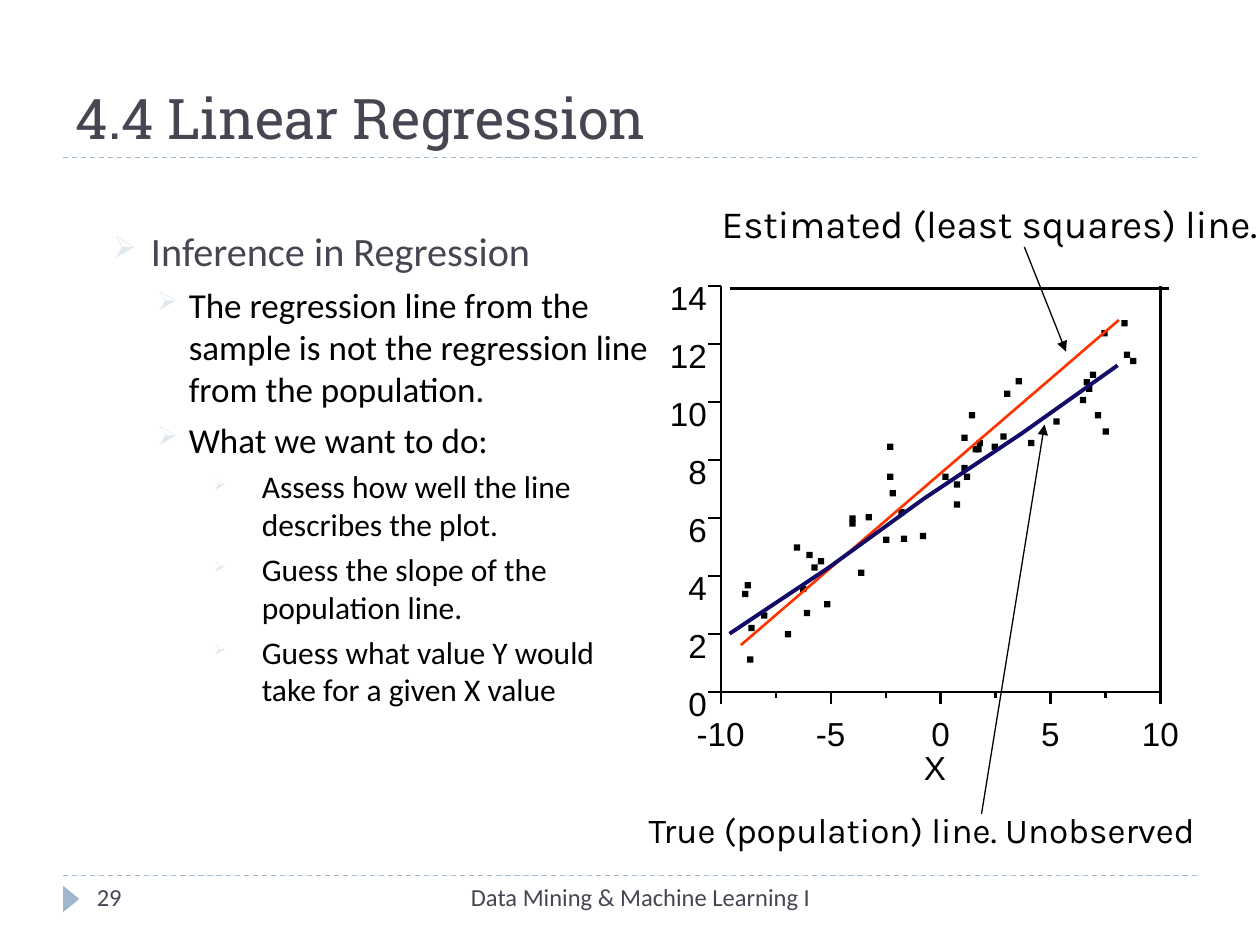
import dataclasses
import typing

import lxml.etree
import pptx
import pptx.dml.color
import pptx.enum.dml
import pptx.enum.shapes
import pptx.enum.text
import pptx.oxml
import pptx.oxml.ns
import pptx.util

SHAPE = pptx.enum.shapes.MSO_SHAPE
ALIGN = pptx.enum.text.PP_ALIGN
ANCHOR = pptx.enum.text.MSO_ANCHOR
FIT = pptx.enum.text.MSO_AUTO_SIZE

# The slide is a grid of 1000 columns by 750 rows of square cells
CELL = pptx.util.Inches(10) // 1000
BLACK, SLATE, BLUE, PALE = "000000", "464653", "9FB8CD", "DDE9EC"

# Plot frame: edges and tick steps in cells
LEFT, RIGHT, TOP, BOTTOM = 572, 921, 227, 549
Y_STEP = (BOTTOM - TOP) / 7
X_STEP = (RIGHT - LEFT) / 8
X_LABEL_WIDTH = 60
DOT = 5
DOTS = [  # left column, top row
    (865, 295), (649, 443), (730, 423), (704, 352), (874, 262), (630, 432), (674, 409),
    (644, 448), (748, 376), (715, 425), (757, 382), (757, 398), (704, 376), (765, 376),
    (623, 501), (763, 369), (794, 344), (836, 332), (775, 349), (701, 426), (862, 306),
    (787, 352), (674, 413), (816, 349), (774, 354), (857, 315), (890, 254), (892, 279),
    (604, 486), (860, 301), (897, 284), (806, 300), (638, 484), (687, 408), (640, 438),
    (681, 452), (875, 340), (769, 327), (594, 496), (654, 477), (589, 469), (706, 389),
    (797, 310), (763, 345), (772, 354), (635, 465), (869, 327), (593, 521), (591, 462),
    (713, 404),
]
POPULATION_LINE = [(579, 503), (657, 451), (733, 396), (811, 344), (887, 290)]


@dataclasses.dataclass
class Level:
    margin: float
    indent: float
    before: int
    bullet_share: int
    size: int
    color: str


@dataclasses.dataclass
class Stroke:
    color: str = BLACK
    width: float = 1.25
    dashed: bool = False
    arrow: bool = False


LEVELS = {
    1: Level(60, -30, 5, 76, 23, SLATE),
    2: Level(90, -25, 5, 76, 20, BLACK),
    3: Level(148, -38, 4, 50, 18, BLACK),
}
OUTLINE = [
    (1, "Inference in Regression"),
    (2, "The regression line from the sample is not the regression line from the population."),
    (2, "What we want to do:"),
    (3, "Assess how well the line describes the plot."),
    (3, "Guess the slope of the population line."),
    (3, "Guess what value Y would take for a given X value"),
]


def cells(count: float) -> int:
    return round(count * CELL)


def rgb(color: str) -> pptx.dml.color.RGBColor:
    return pptx.dml.color.RGBColor.from_string(color)


def write(paragraph: typing.Any, text: str, size: float, font: str, color: str) -> None:
    run = paragraph.add_run()
    run.text = text
    for name, value in {"size": pptx.util.Pt(size), "name": font}.items():
        setattr(run.font, name, value)
    run.font.color.rgb = rgb(color)


def set_frame(frame: typing.Any, inset: typing.Optional[int] = None, **options: typing.Any) -> None:
    if inset is not None:
        for side in ("left", "right", "top", "bottom"):
            options["margin_" + side] = inset
    for name, value in options.items():
        setattr(frame, name, value)


def add_text(shapes: typing.Any, box: tuple, text: str, size: float, font: str,
             color: str = BLACK, align: typing.Any = ALIGN.LEFT, **options: typing.Any) -> None:
    frame = shapes.add_textbox(*map(cells, box)).text_frame
    set_frame(frame, **{"word_wrap": True, **options})
    frame.paragraphs[0].alignment = align
    write(frame.paragraphs[0], text, size, font, color)


def add_plot_label(shapes: typing.Any, box: tuple, text: str, align: typing.Any) -> None:
    add_text(shapes, box, text, 19, "Arial", align=align, inset=0,
             word_wrap=False, auto_size=FIT.SHAPE_TO_FIT_TEXT)


def add_line(shapes: typing.Any, start: tuple, end: tuple, stroke: Stroke = Stroke()) -> None:
    connector = shapes.add_connector(pptx.enum.shapes.MSO_CONNECTOR.STRAIGHT,
                                     *map(cells, (*start, *end)))
    line = connector.line
    line.color.rgb = rgb(stroke.color)
    line.width = pptx.util.Pt(stroke.width)
    if stroke.dashed:
        line.dash_style = pptx.enum.dml.MSO_LINE.DASH
    if stroke.arrow:
        tail = lxml.etree.SubElement(line._get_or_add_ln(), pptx.oxml.ns.qn("a:tailEnd"))
        tail.set("type", "triangle")
    lxml.etree.SubElement(connector._element.spPr, pptx.oxml.ns.qn("a:effectLst"))


def add_block(shapes: typing.Any, kind: typing.Any, box: tuple, color: str) -> typing.Any:
    block = shapes.add_shape(kind, *map(cells, box))
    block.shadow.inherit = False
    block.fill.solid()
    block.fill.fore_color.rgb = rgb(color)
    block.line.fill.background()
    return block


def add_bullet(paragraph: typing.Any, level: Level) -> None:
    properties = paragraph._p.get_or_add_pPr()
    properties.set("marL", str(cells(level.margin)))
    properties.set("indent", str(cells(level.indent)))
    space = pptx.oxml.ns.nsdecls("a")
    for xml in (f'<a:buClr {space}><a:srgbClr val="{PALE}"/></a:buClr>',
                f'<a:buSzPct {space} val="{level.bullet_share * 1000}"/>',
                f'<a:buChar {space} char="➢"/>'):
        properties.append(pptx.oxml.parse_xml(xml))


def add_outline(shapes: typing.Any) -> None:
    frame = shapes.add_textbox(*map(cells, (50, 175, 477, 533))).text_frame
    frame.word_wrap = True
    for index, (depth, text) in enumerate(OUTLINE):
        level = LEVELS[depth]
        paragraph = frame.add_paragraph() if index else frame.paragraphs[0]
        add_bullet(paragraph, level)
        if index:
            paragraph.space_before = pptx.util.Pt(level.before)
        write(paragraph, text, level.size, "Calibri", level.color)


def add_plot(shapes: typing.Any) -> None:
    add_block(shapes, SHAPE.RECTANGLE, (573, 229, 347, 320), "FFFFFF")
    # Vertical axis
    for step in range(8):
        row, label = BOTTOM - step * Y_STEP, str(2 * step)
        add_line(shapes, (LEFT, row), (LEFT - 10, row))
        width = 15 * len(label)
        add_plot_label(shapes, (561 - width, row - 7, width, 32), label, ALIGN.RIGHT)
    # Observations
    for column, row in DOTS:
        add_block(shapes, SHAPE.RECTANGLE, (column, row, DOT, DOT), BLACK)
    # Frame
    add_line(shapes, (579, 229), (928, 229))
    add_line(shapes, (RIGHT, TOP), (RIGHT, BOTTOM))
    add_line(shapes, (RIGHT, BOTTOM), (LEFT, BOTTOM))
    add_line(shapes, (LEFT, BOTTOM), (LEFT, TOP))
    # Horizontal axis, a labelled long tick at every second step
    for step in range(9):
        column, minor = LEFT + step * X_STEP, step % 2
        add_line(shapes, (column, BOTTOM), (column, BOTTOM + (5 if minor else 10)))
        if not minor:
            add_plot_label(shapes, (column - X_LABEL_WIDTH / 2, 566, X_LABEL_WIDTH, 32),
                           str(step * 5 // 2 - 10), ALIGN.CENTER)
    add_plot_label(shapes, (733, 593, 18, 32), "X", ALIGN.CENTER)
    # Estimated line and its callout
    pointer = Stroke(width=0.75, arrow=True)
    add_line(shapes, (588, 512), (888, 254), Stroke("FF3300", 1.5))
    add_text(shapes, (563, 154, 450, 47), "Estimated (least squares) line.", 22, "Karla")
    add_line(shapes, (813, 196), (846, 279), pointer)
    # Population line and its callout
    builder = shapes.build_freeform(*POPULATION_LINE[0], scale=CELL)
    builder.add_line_segments(POPULATION_LINE[1:], close=False)
    population = builder.convert_to_shape()
    population.shadow.inherit = False
    population.fill.background()
    population.line.color.rgb = rgb("120C66")
    population.line.width = pptx.util.Pt(2.25)
    add_text(shapes, (505, 637, 542, 44), "True (population) line. Unobserved", 20, "Karla")
    add_line(shapes, (779, 646), (829, 337), pointer)


def main() -> None:
    deck = pptx.Presentation()
    deck.slide_width, deck.slide_height = cells(1000), cells(750)
    slide = deck.slides.add_slide(deck.slide_layouts[5])
    shapes = slide.shapes

    # Rules and footer marker
    for row in (695, 125):
        add_line(shapes, (50, row), (950, row), Stroke(BLUE, 0.75, dashed=True))
    add_block(shapes, SHAPE.ISOSCELES_TRIANGLE, (46, 707, 21, 13), BLUE).rotation = 90

    # Title
    title = shapes.title
    for name, value in zip(("left", "top", "width", "height"), (50, 17, 900, 108)):
        setattr(title, name, cells(value))
    set_frame(title.text_frame, vertical_anchor=ANCHOR.BOTTOM, auto_size=FIT.NONE, word_wrap=True)
    heading = title.text_frame.paragraphs[0]
    heading.alignment = ALIGN.LEFT
    write(heading, "4.4 Linear Regression", 32, "Roboto Slab", SLATE)

    # Content and footer
    add_outline(shapes)
    add_plot(shapes.add_group_shape().shapes)
    add_text(shapes, (67, 695, 217, 40), "29", 14, "Calibri", SLATE)
    add_text(shapes, (317, 695, 383, 40), "Data Mining & Machine Learning I", 14, "Calibri",
             SLATE, ALIGN.CENTER)
    deck.save("out.pptx")


if __name__ == "__main__":
    main()
